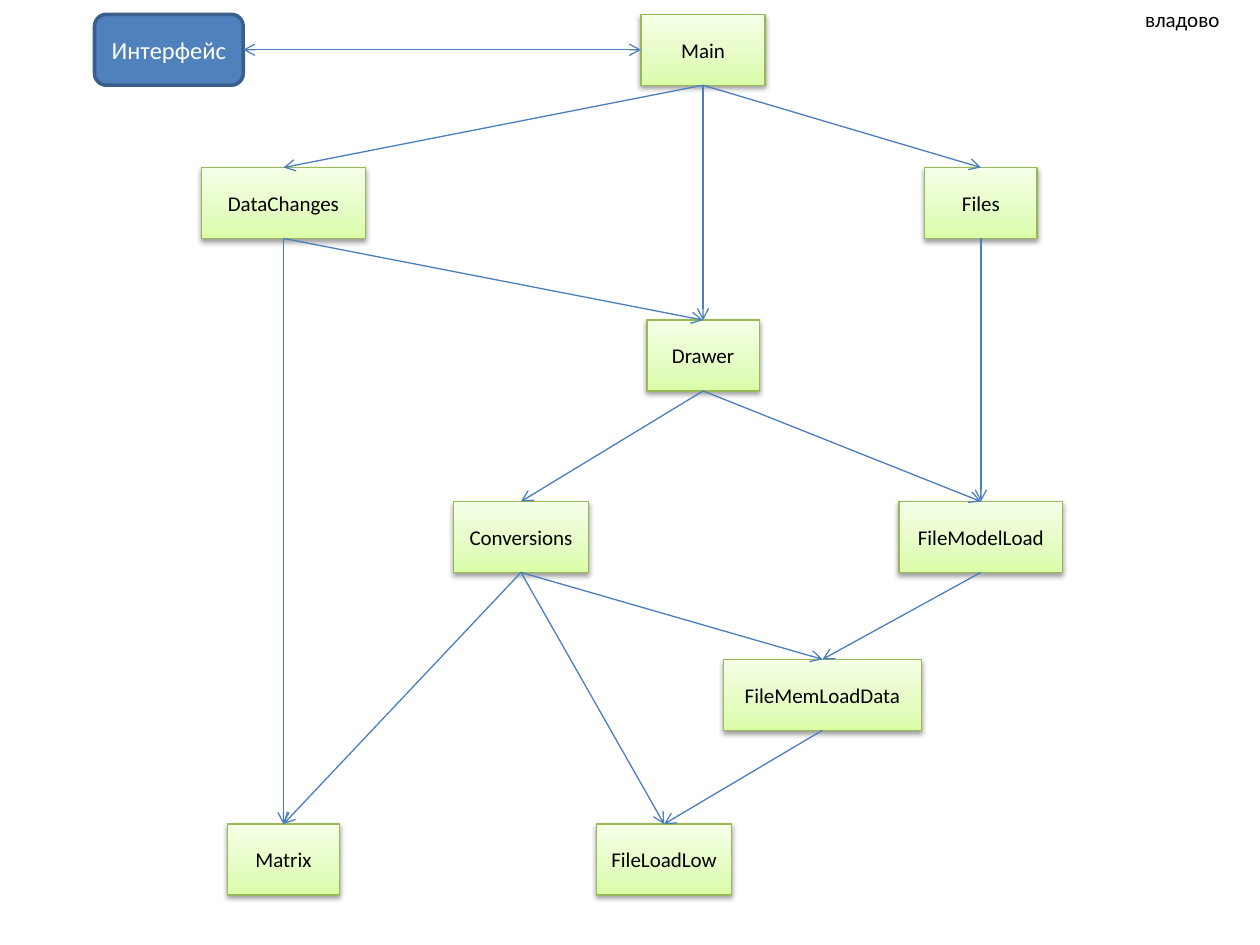
"""Build a slide with the dependency diagram of the program modules."""
from lxml import etree
from pptx import Presentation
from pptx.dml.color import RGBColor
from pptx.enum.shapes import MSO_CONNECTOR, MSO_SHAPE
from pptx.enum.text import MSO_ANCHOR, MSO_AUTO_SIZE, PP_ALIGN
from pptx.oxml.ns import qn
from pptx.util import Pt

RECTANGLE, ROUNDED = MSO_SHAPE.RECTANGLE, MSO_SHAPE.ROUNDED_RECTANGLE
STRAIGHT = MSO_CONNECTOR.STRAIGHT
MIDDLE = MSO_ANCHOR.MIDDLE
CENTER, LEFT = PP_ALIGN.CENTER, PP_ALIGN.LEFT
GROW = MSO_AUTO_SIZE.SHAPE_TO_FIT_TEXT
TOP_SITE, LEFT_SITE, BOTTOM_SITE, RIGHT_SITE = range(4)

COLORS = {
    "green_dark": "DAFDA7", "green_mid": "E4FCC2", "green_light": "F5FFE7",
    "green_line": "98B955", "arrow": "4B7EBC", "blue": "4F81BD",
    "blue_line": "3A5F8C", "black": "000000", "white": "FFFFFF",
}
GRADIENT = [(0, "green_dark"), (35, "green_mid"), (100, "green_light")]
FONT = "Calibri"
BOX_HEIGHT = 40.5
ROWS = [8.2, 95.75, 182.9, 286.6, 376.8, 470.9]

# Name: centre, row, width
MODULES = {
    "Main": (401.75, 0, 70.9),
    "DataChanges": (162, 1, 93.6),
    "Files": (560.5, 1, 64.2),
    "Drawer": (401.75, 2, 64.2),
    "Conversions": (297.75, 3, 77.5),
    "FileModelLoad": (560.5, 3, 93.6),
    "FileMemLoadData": (470, 4, 113.3),
    "Matrix": (162, 5, 64.2),
    "FileLoadLow": (379.5, 5, 77.5),
}
CALLS = {
    "Main": ["Drawer", "Files", "DataChanges"],
    "Drawer": ["Conversions", "FileModelLoad"],
    "Files": ["FileModelLoad"],
    "DataChanges": ["Matrix", "Drawer"],
    "FileModelLoad": ["FileMemLoadData"],
    "Conversions": ["FileMemLoadData", "FileLoadLow", "Matrix"],
    "FileMemLoadData": ["FileLoadLow"],
}


def rgb(name):
    """Return the named colour."""
    return RGBColor.from_string(COLORS[name])


def write_text(shape, text, size, color, align):
    """Write one formatted run into a shape."""
    para = shape.text_frame.paragraphs[0]
    para.alignment = align
    span = para.add_run()
    span.text = text
    span.font.name = FONT
    span.font.size = Pt(size)
    span.font.color.rgb = rgb(color)


def add_color(parent, name):
    """Append a colour element and return it."""
    return etree.SubElement(parent, qn("a:srgbClr"), val=COLORS[name])


def add_box(page, kind, center, row, width, text, size, text_color, line_color, line_width):
    """Add an outlined box with centred text."""
    box = page.shapes.add_shape(kind, Pt(center - width / 2), Pt(ROWS[row]),
                                Pt(width), Pt(BOX_HEIGHT))
    box.shadow.inherit = False
    box.line.color.rgb = rgb(line_color)
    box.line.width = Pt(line_width)
    box.text_frame.vertical_anchor = MIDDLE
    write_text(box, text, size, text_color, CENTER)
    return box


def add_module(page, name, center, row, width):
    """Add a green gradient box with a soft shadow."""
    box = add_box(page, RECTANGLE, center, row, width, name, 12, "black", "green_line", 0.75)
    box.fill.gradient()
    box.fill.gradient_angle = 90
    properties = box._element.spPr
    stops = properties.find(qn("a:gradFill")).find(qn("a:gsLst"))
    for stop in list(stops):
        stops.remove(stop)
    for position, color in GRADIENT:
        add_color(etree.SubElement(stops, qn("a:gs"), pos=str(position * 1000)), color)
    shadow = etree.SubElement(properties.find(qn("a:effectLst")), qn("a:outerShdw"),
                              blurRad=str(Pt(3.1)), dist=str(Pt(1.6)),
                              dir="5400000", rotWithShape="0")
    etree.SubElement(add_color(shadow, "black"), qn("a:alpha"), val="38000")
    return box


def add_arrow(page, start, start_site, end, end_site, ends=("tailEnd",)):
    """Connect two boxes with a straight arrow."""
    arrow = page.shapes.add_connector(STRAIGHT, 0, 0, 0, 0)
    arrow.begin_connect(start, start_site)
    arrow.end_connect(end, end_site)
    arrow.line.color.rgb = rgb("arrow")
    arrow.line.width = Pt(0.75)
    properties = arrow._element.spPr
    for end_name in ends:
        etree.SubElement(properties.find(qn("a:ln")), qn("a:" + end_name), type="arrow")
    etree.SubElement(properties, qn("a:effectLst"))


def add_label(page, text, left, top, width, height):
    """Add a plain text label."""
    label = page.shapes.add_textbox(Pt(left), Pt(top), Pt(width), Pt(height))
    label.text_frame.word_wrap = True
    label.text_frame.auto_size = GROW
    write_text(label, text, 12, "black", LEFT)


def main():
    """Build and save the deck."""
    deck = Presentation()
    deck.slide_width, deck.slide_height = Pt(720), Pt(540)
    page = deck.slides.add_slide(deck.slide_layouts[6])
    boxes = {name: add_module(page, name, *place) for name, place in MODULES.items()}
    for caller, targets in CALLS.items():
        for target in targets:
            add_arrow(page, boxes[caller], BOTTOM_SITE, boxes[target], TOP_SITE)
    interface = add_box(page, ROUNDED, 96.5, 0, 85, "Интерфейс", 14,
                        "white", "blue_line", 2)
    interface.fill.solid()
    interface.fill.fore_color.rgb = rgb("blue")
    add_arrow(page, interface, RIGHT_SITE, boxes["Main"], LEFT_SITE, ("headEnd", "tailEnd"))
    add_label(page, "владово", 647.3, 0, 70.6, 21.8)
    deck.save("out.pptx")


main()
